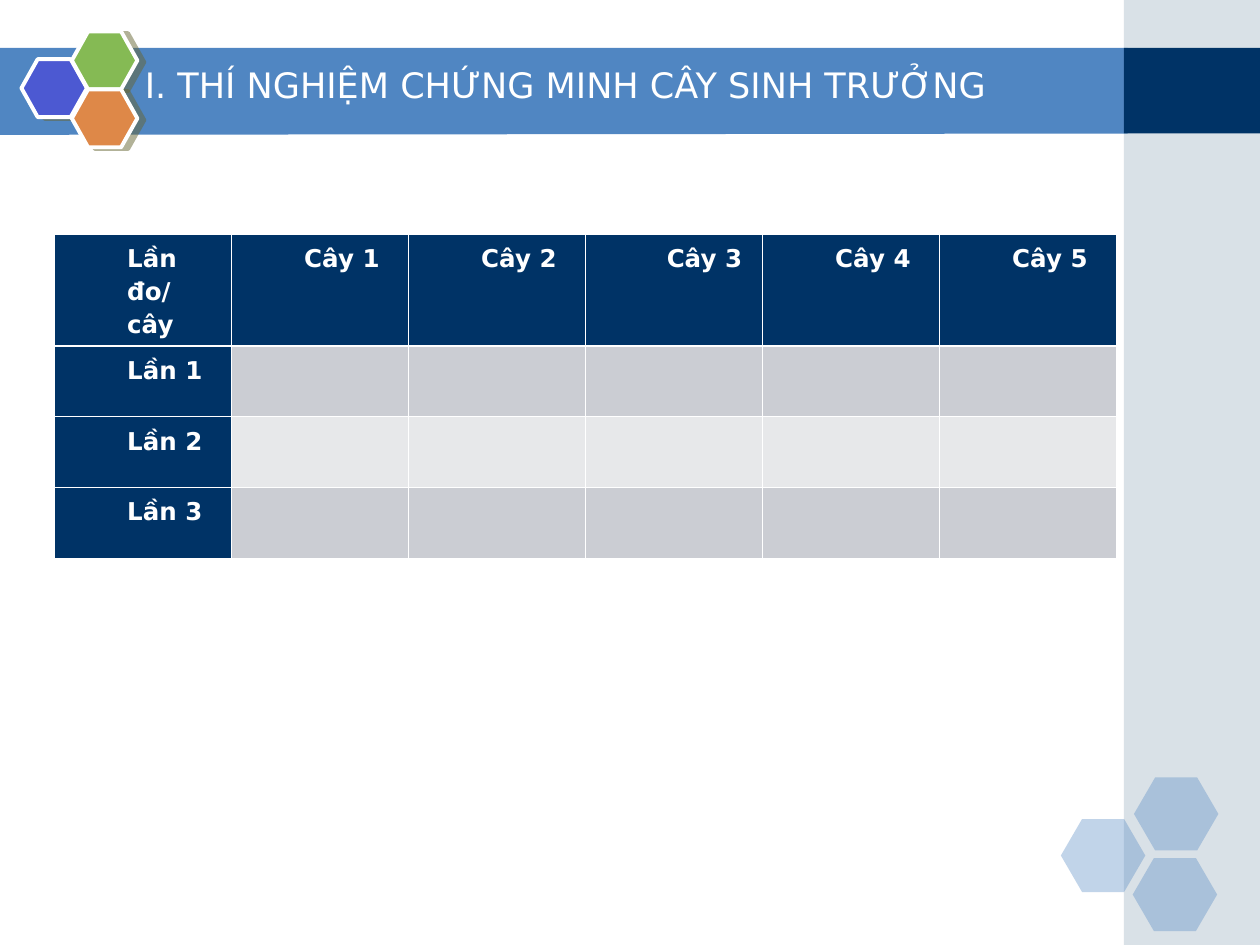
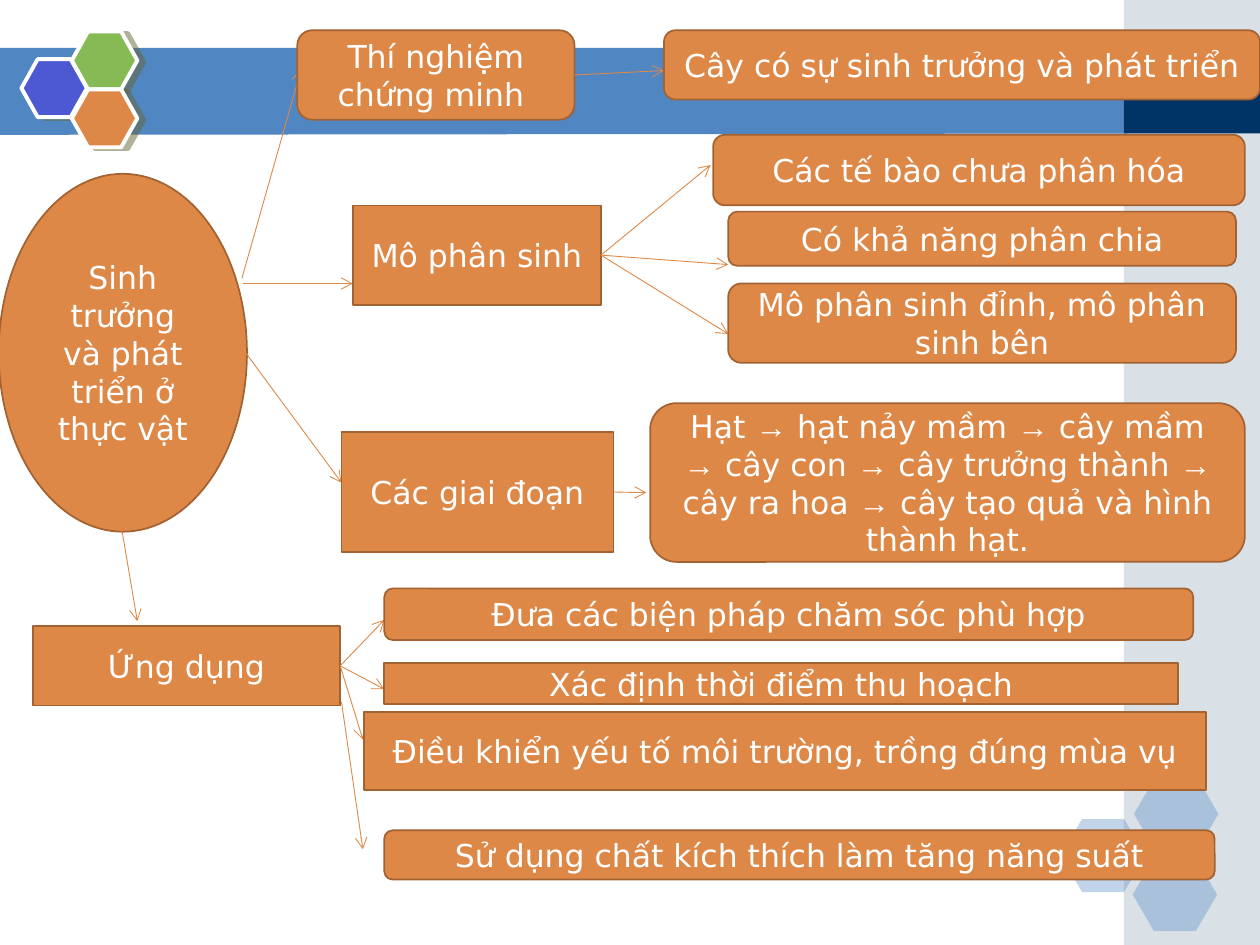
from dataclasses import dataclass
from itertools import groupby

from lxml import etree
from pptx import Presentation
from pptx.dml.color import RGBColor
from pptx.enum.shapes import MSO_CONNECTOR, MSO_SHAPE
from pptx.enum.text import MSO_ANCHOR, PP_ALIGN
from pptx.oxml.ns import qn
from pptx.util import Inches, Pt

RECTANGLE = MSO_SHAPE.RECTANGLE
ROUNDED = MSO_SHAPE.ROUNDED_RECTANGLE
ELLIPSE = MSO_SHAPE.OVAL
HEXAGON = MSO_SHAPE.HEXAGON
STRAIGHT = MSO_CONNECTOR.STRAIGHT
LEFT, CENTER, JUSTIFY = PP_ALIGN.LEFT, PP_ALIGN.CENTER, PP_ALIGN.JUSTIFY
TOP, MIDDLE = MSO_ANCHOR.TOP, MSO_ANCHOR.MIDDLE
RIGHT_SIDE = 3


@dataclass(frozen=True)
class Theme:
    font: str = "DejaVu Sans"
    arrow_font: str = "Arial"
    title_size: float = 20
    node_size: float = 18
    table_size: float = 14
    white: str = "FFFFFF"
    band: str = "5086C2"
    navy: str = "003366"
    sidebar: str = "A0B5C4"
    violet: str = "4C59D2"
    green: str = "85BA54"
    orange: str = "DE8848"
    brown: str = "A36232"
    shadow: str = "666633"
    row_dark: str = "CBCDD3"
    row_light: str = "E7E8EA"


theme = Theme()


def write(frame, text, size=theme.node_size, bold=False, align=CENTER,
          anchor=MIDDLE, spacing=1.0, indent=0):
    frame.word_wrap = True
    frame.vertical_anchor = anchor
    paragraph = frame.paragraphs[0]
    paragraph.alignment = align
    paragraph.line_spacing = spacing
    properties = paragraph._p.get_or_add_pPr()
    properties.set("marL", str(Inches(indent)))
    properties.set("indent", "0")
    for is_arrow, letters in groupby(text, key=lambda letter: letter == "→"):
        run = paragraph.add_run()
        run.text = "".join(letters)
        run.font.name = theme.arrow_font if is_arrow else theme.font
        run.font.size = Pt(size)
        run.font.bold = bold
        run.font.color.rgb = RGBColor.from_string(theme.white)


def add_shape(slide, kind, place, fill, line=None, width=1, opacity=100):
    shape = slide.shapes.add_shape(kind, *(Inches(value) for value in place))
    shape.shadow.inherit = False
    shape.fill.solid()
    shape.fill.fore_color.rgb = RGBColor.from_string(fill)
    if opacity < 100:
        color = shape.element.spPr.find(".//" + qn("a:srgbClr"))
        etree.SubElement(color, qn("a:alpha"), val=str(opacity * 1000))
    if line:
        shape.line.color.rgb = RGBColor.from_string(line)
        shape.line.width = Pt(width)
    else:
        shape.line.fill.background()
    return shape


presentation = Presentation()
presentation.slide_width = Inches(10)
presentation.slide_height = Inches(7.5)
title_only, blank = presentation.slide_layouts[5], presentation.slide_layouts[6]
experiment_slide = presentation.slides.add_slide(title_only)
summary_slide = presentation.slides.add_slide(blank)

for slide in presentation.slides:
    builder = slide.shapes.build_freeform(Inches(-0.01), Inches(0.38))
    builder.add_line_segments(
        [(Inches(x), Inches(y)) for x, y in [(8.95, 0.38), (8.95, 1.06), (-0.01, 1.07)]])
    band = builder.convert_to_shape()
    band.shadow.inherit = False
    band.fill.solid()
    band.fill.fore_color.rgb = RGBColor.from_string(theme.band)
    band.line.fill.background()

    add_shape(slide, RECTANGLE, (8.92, 0, 1.08, 7.5), theme.sidebar, opacity=40)
    add_shape(slide, RECTANGLE, (8.92, 0.38, 1.08, 0.68), theme.navy)

    for left, top in [(8.42, 6.5), (9, 6.17), (8.99, 6.81)]:
        hexagon = add_shape(slide, HEXAGON, (left, top, 0.67, 0.58), theme.band, opacity=35)
        hexagon.adjustments[0] = 0.29

    for left, top, color in [(0.17, 0.47, theme.violet), (0.57, 0.25, theme.green),
                             (0.57, 0.71, theme.orange)]:
        hexagon = add_shape(slide, HEXAGON, (left, top, 0.52, 0.46), color, theme.white, 2.25)
        hexagon.adjustments[0] = 0.28
        effects = hexagon.element.spPr.find(qn("a:effectLst"))
        shadow = etree.SubElement(effects, qn("a:outerShdw"), dist=str(Pt(4.1)),
                                  dir=str(14 * 60000), algn="ctr", rotWithShape="0")
        color_element = etree.SubElement(shadow, qn("a:srgbClr"), val=theme.shadow)
        etree.SubElement(color_element, qn("a:alpha"), val="50000")

title = experiment_slide.shapes.title
title.left, title.top = Inches(1.05), Inches(0.36)
title.width, title.height = Inches(8.55), Inches(0.62)
write(title.text_frame, "I. THÍ NGHIỆM CHỨNG MINH CÂY SINH TRƯỞNG",
      size=theme.title_size, align=LEFT)
title.element.getparent().append(title.element)

measurements = [
    ["Lần đo/ cây", "Cây 1", "Cây 2", " Cây 3", "Cây 4", "Cây 5"],
    ["Lần 1"] + [""] * 5,
    ["Lần 2"] + [""] * 5,
    ["Lần 3"] + [""] * 5,
]
table = experiment_slide.shapes.add_table(
    4, 6, Inches(0.43), Inches(1.86), Inches(8.43), Inches(2.53)).table
table.first_row = table.horz_banding = False
for row_index, values in enumerate(measurements):
    table.rows[row_index].height = Inches(0.56 if row_index else 0.85)
    for column_index, value in enumerate(values):
        cell = table.cell(row_index, column_index)
        cell.margin_left = cell.margin_right = Inches(0.08)
        cell.margin_top = cell.margin_bottom = Inches(0.05)
        heavy_side = {0: "lnB", 1: "lnT"}.get(row_index)
        for side in ("lnL", "lnR", "lnT", "lnB"):
            width = Pt(1.47 if side == heavy_side else 0.45)
            border = etree.SubElement(cell._tc.get_or_add_tcPr(), qn("a:" + side), w=str(width))
            border_fill = etree.SubElement(border, qn("a:solidFill"))
            etree.SubElement(border_fill, qn("a:srgbClr"), val=theme.white)
        if row_index == 0 or column_index == 0:
            color = theme.navy
        else:
            color = theme.row_dark if row_index % 2 else theme.row_light
        cell.fill.solid()
        cell.fill.fore_color.rgb = RGBColor.from_string(color)
        if value:
            write(cell.text_frame, value, size=theme.table_size, bold=True, align=JUSTIFY,
                  anchor=TOP, spacing=1.15, indent=0.5)
            cell.vertical_anchor = TOP

TISSUE, STAGES, USES = "Mô phân sinh", "Các giai đoạn", "Ứng dụng"
PROOF = "Thí nghiệm chứng minh "
nodes = [
    ("Sinh trưởng và phát triển ở thực vật", ELLIPSE, (-0.01, 1.38, 1.97, 2.84), None, None),
    (PROOF, ROUNDED, (2.36, 0.24, 2.2, 0.71), (1.92, 2.21), (2.39, 0.55)),
    ("Cây có sự sinh trưởng và phát triển ", ROUNDED, (5.27, 0.24, 4.73, 0.55),
     PROOF, (5.27, 0.56)),
    (TISSUE, RECTANGLE, (2.8, 1.63, 1.97, 0.79), (1.93, 2.25), (2.8, 2.25)),
    ("Các tế bào chưa phân hóa", ROUNDED, (5.66, 1.07, 4.22, 0.56), TISSUE, (5.64, 1.31)),
    ("Có khả năng phân chia", ROUNDED, (5.78, 1.68, 4.03, 0.43), TISSUE, (5.78, 2.1)),
    ("Mô phân sinh đỉnh, mô phân sinh bên", ROUNDED, (5.78, 2.25, 4.03, 0.63),
     TISSUE, (5.78, 2.65)),
    (STAGES, RECTANGLE, (2.71, 3.43, 2.16, 0.95), (1.95, 2.8), (2.71, 3.83)),
    ("Hạt → hạt nảy mầm → cây mầm → cây con → cây trưởng thành → cây ra hoa "
     "→ cây tạo quả và hình thành hạt.", ROUNDED, (5.16, 3.2, 4.72, 1.26),
     STAGES, (5.13, 3.91)),
    (USES, RECTANGLE, (0.26, 4.97, 2.44, 0.63), (0.97, 4.22), (1.09, 4.93)),
    ("Đưa các biện pháp chăm sóc phù hợp", ROUNDED, (3.05, 4.67, 6.42, 0.41),
     USES, (3.05, 4.92)),
    ("Xác định thời điểm thu hoạch", RECTANGLE, (3.05, 5.26, 6.3, 0.33), USES, (3.05, 5.47)),
    ("Điều khiển yếu tố môi trường, trồng đúng mùa vụ", RECTANGLE,
     (2.89, 5.65, 6.68, 0.62), USES, (2.88, 5.87)),
    ("Sử dụng chất kích thích làm tăng năng suất", ROUNDED, (3.05, 6.59, 6.59, 0.39),
     (2.71, 5.57), (2.88, 6.74)),
]
node_shapes = {}
for text, kind, place, start, end in nodes:
    if start:
        first_point = end if start in node_shapes else start
        connector = summary_slide.shapes.add_connector(
            STRAIGHT, *(Inches(value) for value in first_point + end))
        if start in node_shapes:
            connector.begin_connect(node_shapes[start], RIGHT_SIDE)
        connector.line.color.rgb = RGBColor.from_string(theme.orange)
        connector.line.width = Pt(0.5)
        etree.SubElement(connector.line._get_or_add_ln(), qn("a:tailEnd"), type="arrow")
        etree.SubElement(connector.element.spPr, qn("a:effectLst"))
    shape = add_shape(summary_slide, kind, place, theme.orange, theme.brown)
    write(shape.text_frame, text)
    node_shapes[text] = shape

presentation.save("out.pptx")
